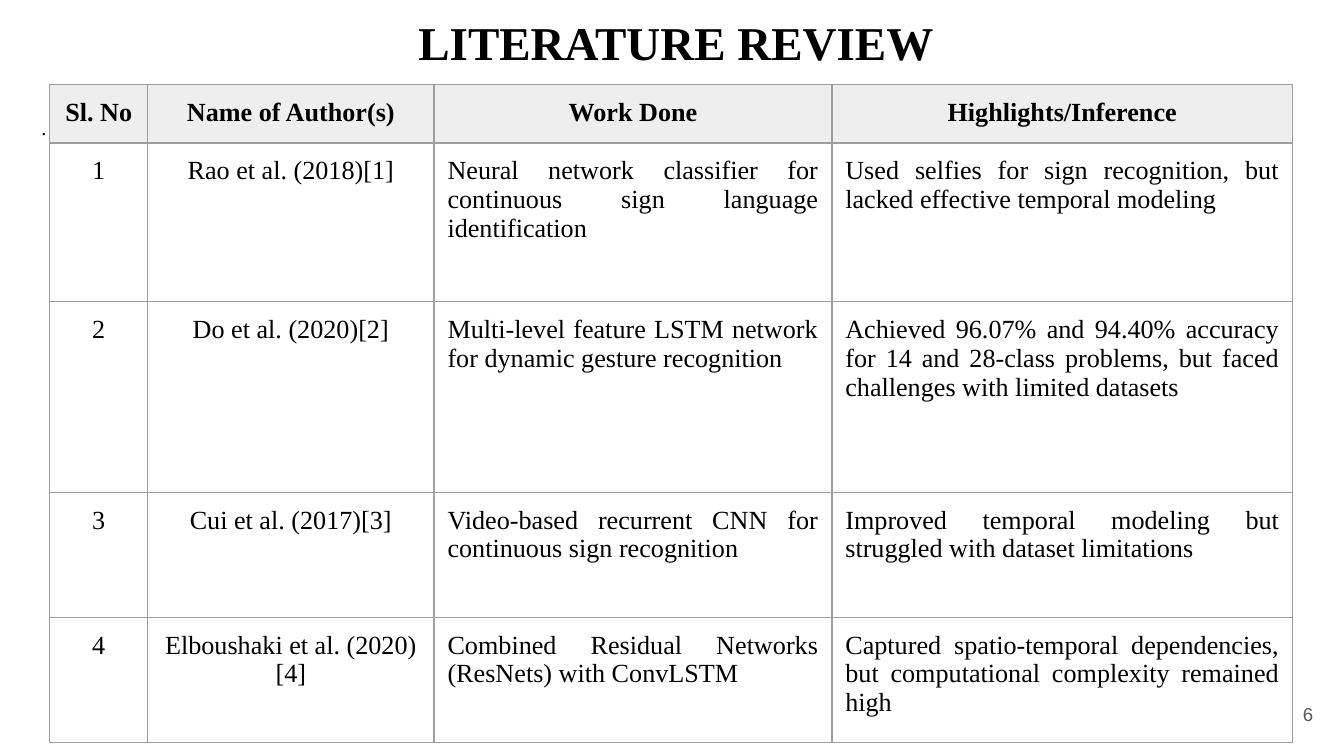
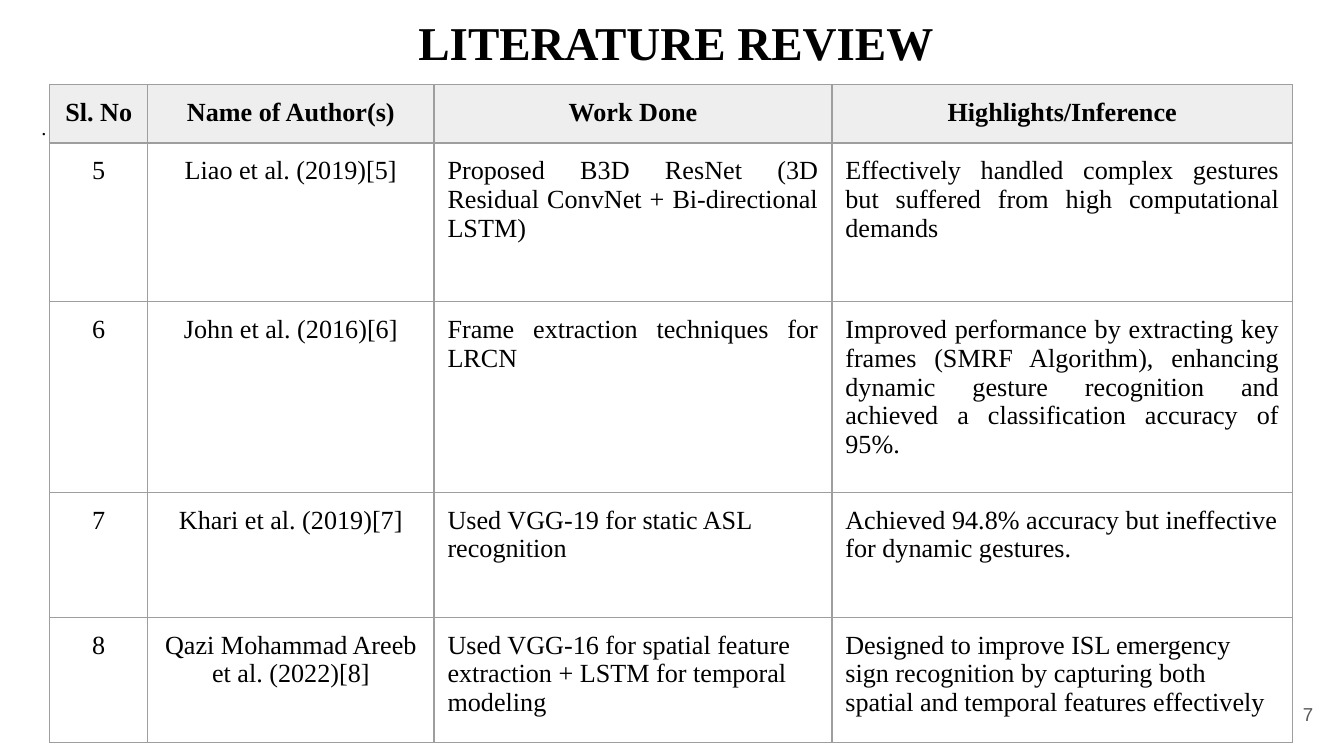
"""Build two literature review slides, each with a title, a table and a page number."""
from lxml import etree
from pptx import Presentation
from pptx.dml.color import RGBColor
from pptx.enum import text
from pptx.oxml import ns
from pptx.util import Inches, Pt

SERIF, SANS = "Times New Roman", "Arial"
BLACK, GREY, BORDER, HEADER_FILL = "000000", "595959", "9E9E9E", "EEEEEE"
LEFT, CENTER, RIGHT, JUSTIFY = (
    text.PP_ALIGN.LEFT, text.PP_ALIGN.CENTER, text.PP_ALIGN.RIGHT, text.PP_ALIGN.JUSTIFY)

TITLE_BOX = (0.37, 0, 9.32, 0.63)
BODY_BOX = (0.21, 0.73, 9.32, 3.46)
NUMBER_BOX = (9.27, 5.1, 0.6, 0.43)
TABLE_BOX = (0.37, 0.63, 3.28, 3.28)
COLUMN_WIDTHS = (0.73, 2.13, 2.96, 3.43)
ROW_HEIGHTS = (0.28, 1.18, 1.42, 0.93, 0.93)
HEADINGS = ("Sl. No", "Name of Author(s)", "Work Done", "Highlights/Inference")

REVIEWS = {
    6: (JUSTIFY, JUSTIFY, [
        ("1", "Rao et al. (2018)[1]",
         "Neural network classifier for continuous sign language identification",
         "Used selfies for sign recognition, but lacked effective temporal modeling"),
        ("2", "Do et al. (2020)[2]",
         "Multi-level feature LSTM network for dynamic gesture recognition",
         "Achieved 96.07% and 94.40% accuracy for 14 and 28-class problems, "
         "but faced challenges with limited datasets"),
        ("3", "Cui et al. (2017)[3]",
         "Video-based recurrent CNN for continuous sign recognition",
         "Improved temporal modeling but struggled with dataset limitations"),
        ("4", "Elboushaki et al. (2020)[4]",
         "Combined Residual Networks (ResNets) with ConvLSTM",
         "Captured spatio-temporal dependencies, but computational complexity remained high"),
    ]),
    7: (JUSTIFY, LEFT, [
        ("5", "Liao et al. (2019)[5]",
         "Proposed B3D ResNet (3D Residual ConvNet + Bi-directional LSTM)",
         "Effectively handled complex gestures but suffered from high computational demands"),
        ("6", "John et al. (2016)[6]",
         "Frame extraction techniques for LRCN",
         "Improved performance by extracting key frames (SMRF Algorithm), enhancing "
         "dynamic gesture recognition and achieved a classification accuracy of 95%."),
        ("7", "Khari et al. (2019)[7]",
         "Used VGG-19 for static ASL recognition",
         "Achieved 94.8% accuracy but ineffective for dynamic gestures."),
        ("8", "Qazi Mohammad Areeb et al. (2022)[8]",
         "Used VGG-16 for spatial feature extraction + LSTM for temporal modeling",
         "Designed to improve ISL emergency sign recognition by capturing both "
         "spatial and temporal features effectively"),
    ]),
}


def color(value):
    """Turn a hex string into a colour."""
    return RGBColor.from_string(value)


def write(holder, words, size, align, font=SERIF, ink=BLACK, bold=False):
    """Write one styled paragraph into a text frame or cell and return it."""
    holder.margin_left = holder.margin_right = Inches(0.1)
    holder.margin_top = holder.margin_bottom = Inches(0.1)
    frame = getattr(holder, "text_frame", holder)
    frame.word_wrap = True
    line = frame.paragraphs[0]
    line.text = words
    line.alignment = align
    line.font.name, line.font.size, line.font.bold = font, Pt(size), bold
    line.font.color.rgb = color(ink)
    return line


def add_frame(slide, box):
    """Add a text box and return its frame."""
    return slide.shapes.add_textbox(*map(Inches, box)).text_frame


def add_title(slide, box):
    """Add the centred slide title."""
    write(add_frame(slide, box), "LITERATURE REVIEW", 25.2, CENTER, bold=True)


def add_body(slide, box):
    """Add the body text behind the table."""
    write(add_frame(slide, box), ".", 11, LEFT).line_spacing = 1.15


def add_number(slide, box, number):
    """Add the page number."""
    frame = add_frame(slide, box)
    frame.vertical_anchor = text.MSO_ANCHOR.MIDDLE
    write(frame, str(number), 10, RIGHT, SANS, GREY)


def outline(cell):
    """Draw a thin border on all four sides of a cell."""
    properties = cell._tc.get_or_add_tcPr()
    for side in ("a:lnL", "a:lnR", "a:lnT", "a:lnB"):
        border = etree.SubElement(properties, ns.qn(side), w=str(Pt(0.75)))
        fill = etree.SubElement(border, ns.qn("a:solidFill"))
        etree.SubElement(fill, ns.qn("a:srgbClr"), val=BORDER)


def add_review_table(slide, box, upper_align, lower_align, studies):
    """Add the table of studies below its heading row."""
    holder = slide.shapes.add_table(
        len(ROW_HEIGHTS), len(COLUMN_WIDTHS), *map(Inches, box))
    table = holder.table
    table.horz_banding = table.first_row = False
    for column, width in zip(table.columns, COLUMN_WIDTHS):
        column.width = Inches(width)
    for r, (height, entries) in enumerate(zip(ROW_HEIGHTS, [HEADINGS, *studies])):
        table.rows[r].height = Inches(height)
        for c, entry in enumerate(entries):
            cell = table.cell(r, c)
            outline(cell)
            if r == 0:
                cell.fill.solid()
                cell.fill.fore_color.rgb = color(HEADER_FILL)
            else:
                cell.fill.background()
            prose_align = upper_align if r < 3 else lower_align
            align = CENTER if r == 0 or c < 2 else prose_align
            write(cell, entry, 14, align, bold=r == 0)
    holder.width, holder.height = map(Inches, box[2:])


def add_review_slide(deck, number, review):
    """Add one literature review slide."""
    slide = deck.slides.add_slide(deck.slide_layouts[6])
    add_title(slide, TITLE_BOX)
    add_body(slide, BODY_BOX)
    add_number(slide, NUMBER_BOX, number)
    add_review_table(slide, TABLE_BOX, *review)


def main():
    """Build and save the deck."""
    deck = Presentation()
    deck.slide_width = Inches(10)
    deck.slide_height = deck.slide_width * 9 // 16
    for number, review in REVIEWS.items():
        add_review_slide(deck, number, review)
    deck.save("out.pptx")


if __name__ == "__main__":
    main()
